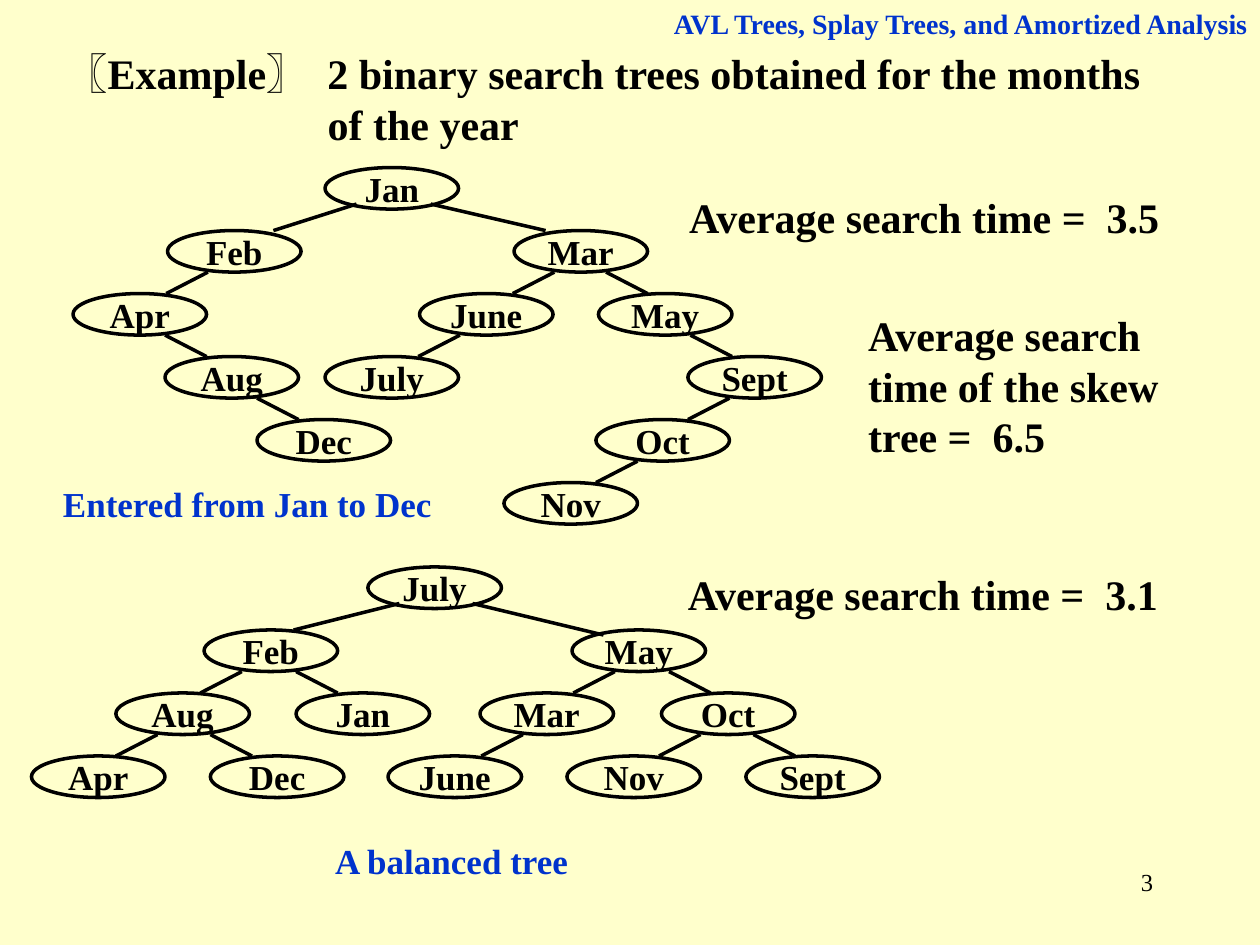
from dataclasses import dataclass

from lxml import etree
from pptx import Presentation
from pptx.dml.color import RGBColor
from pptx.enum.shapes import MSO_CONNECTOR, MSO_SHAPE
from pptx.enum.text import MSO_ANCHOR, MSO_AUTO_SIZE, PP_ALIGN
from pptx.oxml.ns import qn
from pptx.util import Inches, Pt

OVAL, LINE = MSO_SHAPE.OVAL, MSO_CONNECTOR.STRAIGHT
TOP, MID = MSO_ANCHOR.TOP, MSO_ANCHOR.MIDDLE
LEFT, MIDDLE, RIGHT = PP_ALIGN.LEFT, PP_ALIGN.CENTER, PP_ALIGN.RIGHT


@dataclass(frozen=True)
class Theme:
    paper: RGBColor = RGBColor(0xFF, 0xFF, 0xCC)
    ink: RGBColor = RGBColor(0, 0, 0)
    blue: RGBColor = RGBColor(0x00, 0x33, 0xCC)
    font: str = "Times New Roman"
    head: int = 24
    node: int = 20
    run: int = 16
    page: int = 14
    stroke: int = 2


theme = Theme()


def write(shape, text, size=theme.head, color=theme.ink, bold=True,
          align=LEFT, anchor=TOP, side=0, wrap=True):
    frame = shape.text_frame
    frame.word_wrap = wrap
    frame.auto_size = MSO_AUTO_SIZE.NONE
    frame.vertical_anchor = anchor
    frame.margin_left = frame.margin_right = Inches(side)
    frame.margin_top = frame.margin_bottom = Inches(0.05)
    para = frame.paragraphs[0]
    para.alignment = align
    run = para.add_run()
    run.text = text
    font = run.font
    font.name, font.size, font.bold = theme.font, Pt(size), bold
    font.color.rgb = color
    return para


def link(x1, y1, x2, y2):
    line = slide.shapes.add_connector(
        LINE, Inches(x1), Inches(y1), Inches(x2), Inches(y2))
    line.line.color.rgb = theme.ink
    line.line.width = Pt(theme.stroke)
    etree.SubElement(line._element.spPr, qn("a:effectLst"))


deck = Presentation()
deck.slide_width, deck.slide_height = Inches(10), Inches(7.5)
slide = deck.slides.add_slide(deck.slide_layouts[5])
slide.background.fill.solid()
slide.background.fill.fore_color.rgb = theme.paper

# Title with a hanging indent
title = slide.shapes.title
title.left, title.top = Inches(0.42), Inches(0.33)
title.width, title.height = Inches(9.08), Inches(0.9)
para = write(title, "〖Example〗  2 binary search trees obtained for the months of the year",
             side=0.1)
props = para._p.get_or_add_pPr()
props.set("marL", str(Inches(2.08)))
props.set("indent", str(-Inches(2.08)))

# Trees: top, nodes as (month, left, row, left foot, right foot),
# and the long links under the root; a foot is an offset from the node's left
WIDE, HIGH, STEP, RUN = 1.06, 0.33, 0.5, 0.33
trees = [
    (1.33,
     [("Jan", 2.58, 0, None, None),
      ("Feb", 1.33, 1, 0.32, None), ("Mar", 4.08, 1, 0.32, 0.73),
      ("Apr", 0.58, 2, None, 0.73), ("June", 3.33, 2, 0.32, None),
      ("May", 4.75, 2, None, 0.73),
      ("Aug", 1.31, 3, None, 0.73), ("July", 2.58, 3, None, None),
      ("Sept", 5.46, 3, 0.33, None),
      ("Dec", 2.04, 4, None, None), ("Oct", 4.73, 4, 0.33, None),
      ("Nov", 4, 5, None, None)],
     [(2.83, 1.62, 2.17, 1.83), (3.42, 1.62, 4.33, 1.83)]),
    (4.5,
     [("July", 2.92, 0, None, None),
      ("Feb", 1.62, 1, 0.3, 0.73), ("May", 4.54, 1, 0.34, 0.77),
      ("Aug", 0.92, 2, 0.33, 0.75), ("Jan", 2.35, 2, None, None),
      ("Mar", 3.81, 2, 0.34, None), ("Oct", 5.25, 2, 0.31, 0.73),
      ("Apr", 0.25, 3, None, None), ("Dec", 1.67, 3, None, None),
      ("June", 3.08, 3, None, None), ("Nov", 4.5, 3, None, None),
      ("Sept", 5.92, 3, None, None)],
     [(3.17, 4.79, 2.33, 5), (3.75, 4.79, 4.79, 5.04)]),
]
for top, nodes, roots in trees:
    for month, x, row, *feet in nodes:
        y = top + row * STEP
        oval = slide.shapes.add_shape(
            OVAL, Inches(x), Inches(y), Inches(WIDE), Inches(HIGH))
        oval.shadow.inherit = False
        oval.fill.background()
        oval.line.color.rgb = theme.ink
        oval.line.width = Pt(theme.stroke)
        write(oval, month, size=theme.node, align=MIDDLE, anchor=MID, wrap=False)
        for foot, shift in zip(feet, (-RUN, RUN)):
            if foot is not None:
                link(x + foot, y + HIGH, x + foot + shift, y + STEP)
    for ends in roots:
        link(*ends)

# Captions, search times, running head and page number
blue = dict(size=theme.node, color=theme.blue, anchor=MID)
notes = [
    ("Entered from Jan to Dec", (0.5, 3.75, 3.33, 0.5), blue),
    ("A balanced tree", (1.92, 6.58, 3.33, 0.5), dict(blue, align=MIDDLE)),
    ("Average search time =  3.5", (5.47, 1.47, 4.11, 0.5), {}),
    ("Average search time =  3.1", (5.46, 4.46, 4.11, 0.5), {}),
    ("Average search time of the skew tree =  6.5", (6.89, 2.41, 2.52, 1.3), {}),
    ("AVL Trees, Splay Trees, and Amortized Analysis", (4.92, 0, 5.08, 0.37),
     dict(size=theme.run, color=theme.blue, align=RIGHT, side=0.1)),
    ("3", (7.17, 6.83, 2.08, 0.5),
     dict(size=theme.page, bold=False, align=RIGHT, side=0.1)),
]
for text, place, style in notes:
    box = slide.shapes.add_textbox(*map(Inches, place))
    write(box, text, **style)

deck.save("out.pptx")
